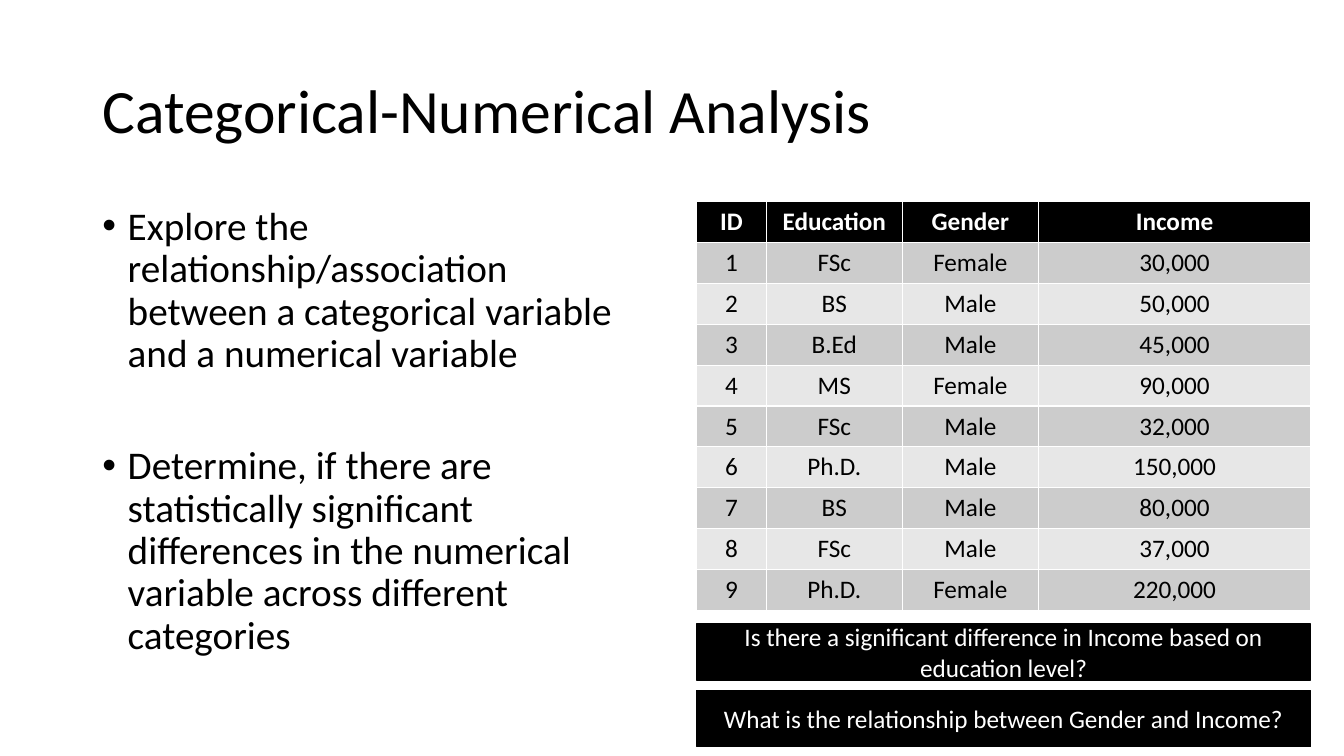
from lxml.etree import SubElement
from pptx import Presentation
from pptx.dml.color import RGBColor
from pptx.enum.shapes import MSO_SHAPE
from pptx.enum.text import MSO_ANCHOR, PP_ALIGN
from pptx.oxml.ns import qn
from pptx.util import Cm, Pt


def color(value):
    return RGBColor.from_string(value)


def write(paragraph, text, size=18, ink="000000", bold=False, align=PP_ALIGN.LEFT,
          spacing=1.0, before=0, bullet=None):
    if bullet:
        properties = paragraph._p.get_or_add_pPr()
        properties.set("marL", str(int(Cm(0.64))))
        properties.set("indent", str(int(Cm(-0.64))))
        SubElement(properties, qn("a:buFont"), typeface="Arial")
        SubElement(properties, qn("a:buChar"), char=bullet)
    paragraph.alignment = align
    paragraph.line_spacing = spacing
    paragraph.space_before = Pt(before)
    span = paragraph.add_run()
    span.text = text
    span.font.name = "Calibri"
    span.font.size = Pt(size)
    span.font.bold = bold
    span.font.color.rgb = color(ink)


deck = Presentation()
deck.slide_width = Cm(33.87)
deck.slide_height = Cm(19.05)
page = deck.slides.add_slide(deck.slide_layouts[6])

title = page.shapes.add_textbox(Cm(2.33), Cm(1.01), Cm(29.21), Cm(3.68)).text_frame
title.word_wrap = True
title.vertical_anchor = MSO_ANCHOR.MIDDLE
write(title.paragraphs[0], "Categorical-Numerical Analysis", size=44, spacing=0.9)

goals = [
    "Explore the relationship/association between a categorical variable "
    "and a numerical variable",
    "Determine, if there are statistically significant differences in the "
    "numerical variable across different categories",
]
body = page.shapes.add_textbox(Cm(2.33), Cm(5.08), Cm(14.4), Cm(12.09)).text_frame
body.word_wrap = True
for index, goal in enumerate(goals):
    paragraph = body.add_paragraph() if index else body.paragraphs[0]
    write(paragraph, goal, size=28, spacing=0.9, before=50 * index, bullet="•")

records = [
    ("ID", "Education", "Gender", "Income"),
    ("1", "FSc", "Female", "30,000"),
    ("2", "BS", "Male", "50,000"),
    ("3", "B.Ed", "Male", "45,000"),
    ("4", "MS", "Female", "90,000"),
    ("5", "FSc", "Male", "32,000"),
    ("6", "Ph.D.", "Male", "150,000"),
    ("7", "BS", "Male", "80,000"),
    ("8", "FSc", "Male", "37,000"),
    ("9", "Ph.D.", "Female", "220,000"),
]
widths = [1.75, 3.43, 3.43, 6.86]
left, width, row_height = Cm(17.56), Cm(sum(widths)), Cm(1.03)
table = page.shapes.add_table(len(records), len(widths), left, Cm(5.08),
                              width, row_height * len(records)).table
for column, column_width in zip(table.columns, widths):
    column.width = Cm(column_width)
for row, record in enumerate(records):
    table.rows[row].height = row_height
    header = row == 0
    shade = "000000" if header else ("E7E7E7", "CCCCCC")[row % 2]
    for column, value in enumerate(record):
        cell = table.cell(row, column)
        cell.fill.solid()
        cell.fill.fore_color.rgb = color(shade)
        write(cell.text_frame.paragraphs[0], value, bold=header,
              ink="FFFFFF" if header else "000000", align=PP_ALIGN.CENTER)

questions = [
    "Is there a significant difference in Income based on education level?",
    "What is the relationship between Gender and Income?",
]
for index, question in enumerate(questions):
    box = page.shapes.add_shape(MSO_SHAPE.RECTANGLE, left, Cm(15.72 + 1.68 * index),
                                width, Cm(1.42))
    box.shadow.inherit = False
    box.fill.solid()
    box.fill.fore_color.rgb = color("000000")
    box.line.color.rgb = color("000000")
    box.line.width = Pt(1)
    box.text_frame.word_wrap = True
    box.text_frame.vertical_anchor = MSO_ANCHOR.MIDDLE
    write(box.text_frame.paragraphs[0], question, ink="FFFFFF", align=PP_ALIGN.CENTER)

deck.save("out.pptx")
